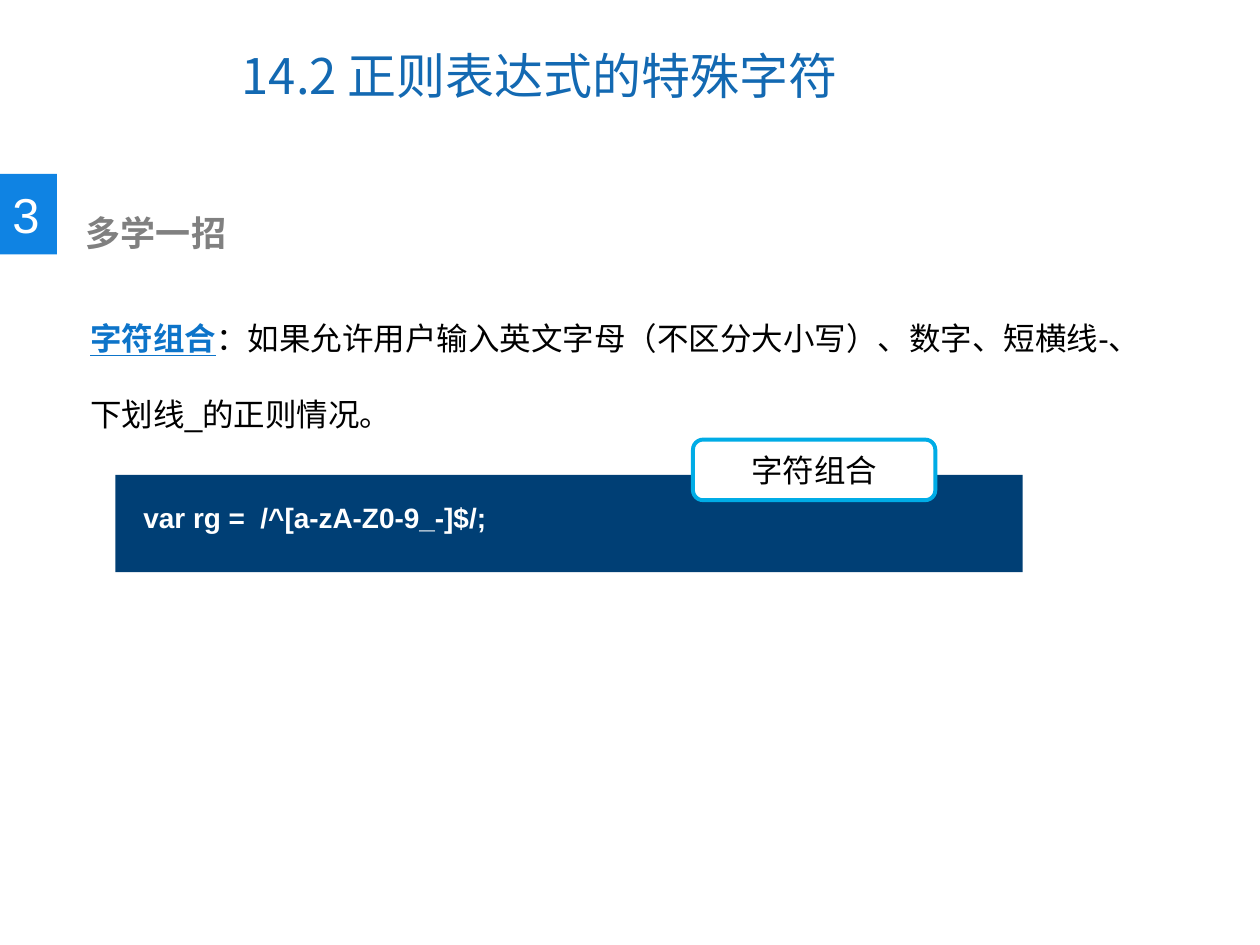
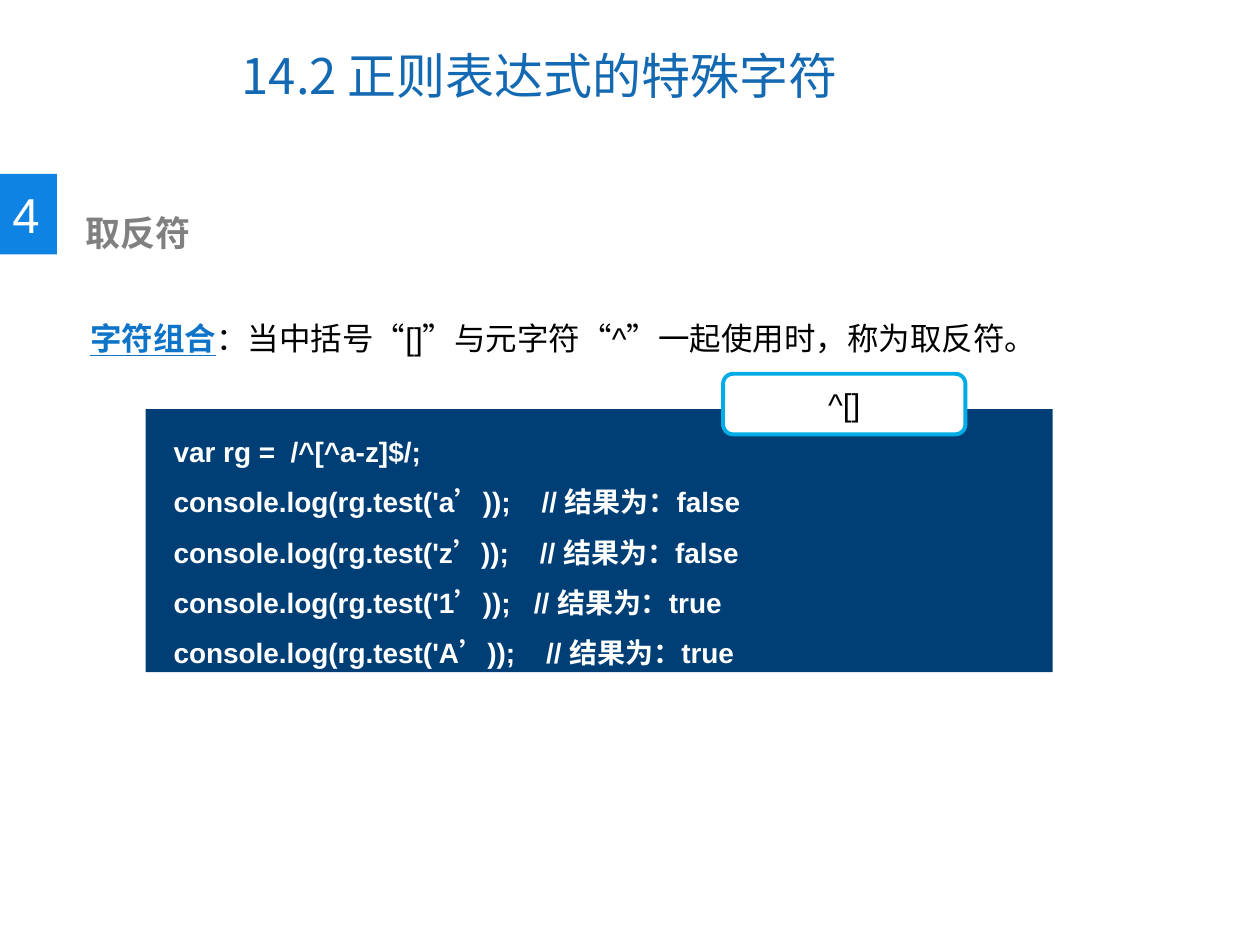
from itertools import groupby

from lxml.etree import SubElement
from pptx import Presentation
from pptx.dml.color import RGBColor
from pptx.enum.shapes import MSO_SHAPE as Shape
from pptx.enum.text import MSO_ANCHOR as Anchor, PP_ALIGN as Align
from pptx.oxml.ns import qn
from pptx.util import Pt

# Shared colours and fonts
TITLE_BLUE = RGBColor(0x13, 0x69, 0xB2)
BADGE_BLUE = RGBColor(0x0F, 0x83, 0xE3)
TERM_BLUE = RGBColor(0x0D, 0x74, 0xC9)
PANEL_NAVY = RGBColor(0x00, 0x3F, 0x75)
CALLOUT_CYAN = RGBColor(0x00, 0xAC, 0xE6)
GREY = RGBColor(0x80, 0x80, 0x80)
BLACK = RGBColor(0, 0, 0)
WHITE = RGBColor(255, 255, 255)
LATIN, CJK = "Arial", "Noto Sans CJK SC"

TITLE_LAYOUT = 5
CODE_LEADING, BODY_LEADING = 28.75, 43.5


def add_span(para, text, size, color, bold=False, underline=False, font=LATIN):
    """Add a run, with Chinese characters always in the CJK font."""
    span = para.add_run()
    span.text = text
    span.font.name = font
    span.font.size = Pt(size)
    span.font.color.rgb = color
    span.font.bold = bold
    span.font.underline = underline
    SubElement(span._r.get_or_add_rPr(), qn("a:ea"), typeface=CJK)


def add_quoted(para, text, size, color, bold=False):
    """Add text whose curly quotes are set full width in the CJK font."""
    for is_quote, letters in groupby(text, lambda letter: letter in "“”’"):
        font = CJK if is_quote else LATIN
        add_span(para, "".join(letters), size, color, bold, font=font)


def add_box(page, left, top, width, height):
    box = page.shapes.add_textbox(Pt(left), Pt(top), Pt(width), Pt(height))
    box.text_frame.word_wrap = True
    return box.text_frame.paragraphs[0]


def add_block(page, kind, left, top, width, height, fill, line=None):
    block = page.shapes.add_shape(kind, Pt(left), Pt(top), Pt(width), Pt(height))
    block.shadow.inherit = False
    block.fill.solid()
    block.fill.fore_color.rgb = fill
    if line is None:
        block.line.fill.background()
    else:
        block.line.color.rgb = line
        block.line.width = Pt(2.25)
    return block


def add_title(page, number, text):
    title = page.shapes.title
    title.left, title.top, title.width, title.height = Pt(131), Pt(12.25), Pt(371.5), Pt(61)
    title.text_frame.vertical_anchor = Anchor.MIDDLE
    para = title.text_frame.paragraphs[0]
    para.alignment = Align.LEFT
    add_span(para, number, 28, TITLE_BLUE, font=CJK)
    add_span(para, text, 28, TITLE_BLUE)


def add_heading(page, number, text):
    badge = add_block(page, Shape.RECTANGLE, 0, 99.4, 32.5, 46, BADGE_BLUE)
    badge.text_frame.word_wrap = False
    badge.text_frame.vertical_anchor = Anchor.MIDDLE
    para = badge.text_frame.paragraphs[0]
    para.alignment = Align.LEFT
    add_span(para, number, 28, WHITE)
    add_span(add_box(page, 42, 117.4, 362, 31.5), text, 20, GREY, bold=True)


def add_explanation(page, term, text, height):
    para = add_box(page, 44.6, 157, 623, height)
    para.line_spacing = Pt(BODY_LEADING)
    add_span(para, term, 18, TERM_BLUE, bold=True, underline=True)
    add_quoted(para, text, 18, BLACK)


def add_code(page, left, top, height, lines, label):
    # Code panel
    panel = add_block(page, Shape.RECTANGLE, left, top, 518.4, height, PANEL_NAVY)
    frame = panel.text_frame
    frame.vertical_anchor = Anchor.TOP
    frame.margin_left, frame.margin_top = Pt(16), Pt(5)
    frame.margin_bottom = 0
    for index, line in enumerate(lines):
        para = frame.add_paragraph() if index else frame.paragraphs[0]
        para.alignment = Align.LEFT
        para.line_spacing = Pt(CODE_LEADING)
        add_quoted(para, line, 16, WHITE, bold=True)

    # Label over the panel's upper edge
    callout = add_block(page, Shape.ROUNDED_RECTANGLE, left + 330, top - 20.2,
                        138.5, 34.6, WHITE, CALLOUT_CYAN)
    callout.text_frame.vertical_anchor = Anchor.MIDDLE
    para = callout.text_frame.paragraphs[0]
    para.alignment = Align.CENTER
    add_span(para, label, 18, BLACK)


def add_page(deck, number, heading):
    page = deck.slides.add_slide(deck.slide_layouts[TITLE_LAYOUT])
    add_title(page, "14.2 ", "正则表达式的特殊字符")
    add_heading(page, number, heading)
    return page


def main():
    deck = Presentation()
    deck.slide_width, deck.slide_height = Pt(720), Pt(540)

    # Character sets
    page = add_page(deck, "3", "多学一招")
    add_explanation(page, "字符组合",
                    "：如果允许用户输入英文字母（不区分大小写）、数字、短横线-、下划线_的正则情况。", 94.3)
    add_code(page, 66, 271.4, 55.6, ["var rg =  /^[a-zA-Z0-9_-]$/;"], "字符组合")

    # Negation
    page = add_page(deck, "4", "取反符")
    add_explanation(page, "字符组合",
                    "：当中括号“[]”与元字符“^”一起使用时，称为取反符。", 51)
    add_code(page, 83.2, 233.8, 150.3, [
        "var rg =  /^[^a-z]$/;",
        "console.log(rg.test('a’));    // 结果为：false",
        "console.log(rg.test('z’));    // 结果为：false",
        "console.log(rg.test('1’));   // 结果为：true",
        "console.log(rg.test('A’));    // 结果为：true",
    ], "^[]")

    deck.save("out.pptx")


if __name__ == "__main__":
    main()
